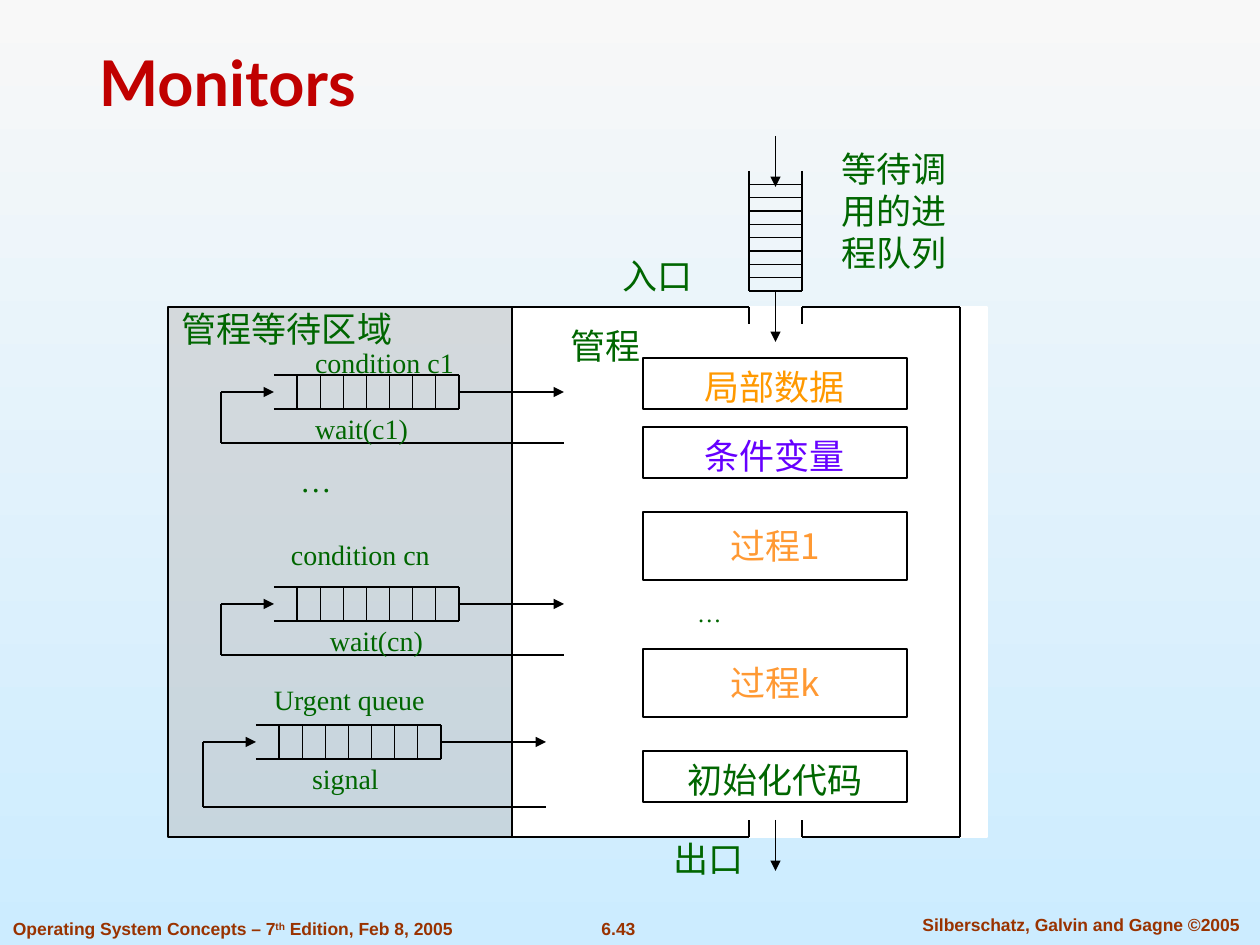
from pptx import Presentation
from pptx.util import Pt
from pptx.dml.color import RGBColor as Rgb
from pptx.enum.shapes import MSO_SHAPE as Shape, MSO_CONNECTOR as Link
from pptx.enum.text import PP_ALIGN as Align, MSO_ANCHOR as Anchor
from pptx.oxml.ns import qn
from lxml.etree import SubElement as Sub

PX = 914400 / 126
HEX = {
    "ink": "000000", "white": "FFFFFF", "gray": "C0C0C0", "green": "006600",
    "orange": "FF9900", "amber": "FF9933", "violet": "6600FF",
    "red": "C00000", "rust": "993300", "top": "F8F8F8", "base": "CCECFF",
}
CJK, SERIF = "Noto Sans CJK SC", "Times New Roman"


def emu(*vals):
    return [round(v * PX) for v in vals]


def hue(name):
    return Rgb.from_string(HEX[name])


def write(frame, runs, size, face, tint, align=Align.LEFT, bold=False,
          pad=(0, 0), anchor=Anchor.TOP, lead=None):
    """Fill a text frame; runs is a list of (words, raised) pairs."""
    dx, dy = emu(*pad)
    form = {"margin_left": dx, "margin_right": dx, "margin_top": dy,
            "margin_bottom": dy, "word_wrap": True, "vertical_anchor": anchor}
    for key, val in form.items():
        setattr(frame, key, val)
    para = frame.paragraphs[0]
    para.alignment = align
    if lead:
        para.line_spacing = lead
    for words, raised in runs:
        run = para.add_run()
        run.text = words
        for key, val in {"size": Pt(size), "name": face, "bold": bold}.items():
            setattr(run.font, key, val)
        run.font.color.rgb = hue(tint)
        props = run.font._element
        Sub(props, qn("a:ea")).set("typeface", face)
        if raised:
            props.set("baseline", "30000")


def label(slide, box, words, size, face, tint, **form):
    runs = [(words, False)] if isinstance(words, str) else words
    text = slide.shapes.add_textbox(*emu(*box))
    write(text.text_frame, runs, size, face, tint, **form)


def block(slide, box, fill, edge):
    rect = slide.shapes.add_shape(Shape.RECTANGLE, *emu(*box))
    rect.shadow.inherit = False
    rect.fill.solid()
    rect.fill.fore_color.rgb = hue(fill)
    rect.line.color.rgb = hue(edge)
    rect.line.width = Pt(0.75)
    return rect


def line(slide, x1, y1, x2, y2, arrow=False):
    link = slide.shapes.add_connector(Link.STRAIGHT, *emu(x1, y1, x2, y2))
    link.line.color.rgb = hue("ink")
    link.line.width = Pt(0.75)
    if arrow:
        Sub(link.line._get_or_add_ln(), qn("a:tailEnd")).set("type", "triangle")
    Sub(link._element.spPr, qn("a:effectLst"))


def queue(slide, box, drop, name, call):
    """Waiting queue with its return loop; name and call are (dx, dy, words)."""
    x, y, w, h = box
    right, mid, low = x + w, y + h // 2, y + drop
    for edge in (y, y + h):
        line(slide, x, edge, right, edge)
    for i in range(8):
        line(slide, right - i * w / 8, y, right - i * w / 8, y + h)
    line(slide, right + 105, low, x - 53, low)
    line(slide, x - 53, low, x - 53, mid)
    line(slide, x - 53, mid, x, mid, True)
    line(slide, right, mid, right + 105, mid, True)
    for dx, dy, words in (name, call):
        label(slide, (x + dx, y + dy, 180, 22), words, 16, SERIF, "green",
              align=Align.JUSTIFY, lead=0.8)


def waiting(slide, box):
    """Shaded area holding the condition queues."""
    x, y, w, h = box
    area = block(slide, box, "gray", "ink")
    tone = area.fill._xPr.find(qn("a:solidFill"))[0]
    Sub(tone, qn("a:alpha")).set("val", "50000")
    label(slide, (x, y, 238, 34), "管程等待区域", 20, CJK, "green",
          align=Align.CENTER)
    for dx, dy, drop, name, call in (
            (106, 68, 68, (41, -23, "condition c1"), (41, 43, "wait(c1)")),
            (106, 280, 68, (17, -43, "condition cn"), (56, 43, "wait(cn)")),
            (88, 418, 82, (18, -36, "Urgent queue"), (56, 43, "signal"))):
        queue(slide, (x + dx, y + dy, 185, 34), drop, name, call)
    label(slide, (x + 132, y + 154, 135, 86), "…", 18, SERIF, "green")


def entry(slide, box):
    """Queue of callers above the entrance."""
    x, y, w, h = box
    mid, low = x + w / 2, y + h
    for side in (x, x + w):
        line(slide, side, y, side, low)
    for i in range(9):
        rung = low - i * 13.35
        line(slide, x, rung, x + w, rung)
    line(slide, mid, y - 35, mid, y + 16, True)
    line(slide, mid, low, mid, low + 51, True)
    label(slide, (x + 79, y - 24, 132, 68), "等待调用的进程队列", 20, CJK,
          "green", align=Align.CENTER)
    label(slide, (x - 159, y + 84, 135, 34), "入口", 20, CJK, "green",
          align=Align.CENTER)


def monitor(slide, box, gate):
    """Monitor body: outline with two gaps at the gate, and its parts."""
    x, y, w, h = box
    left, right = gate
    end, low = x + w, y + h
    for edge, tick in ((y, y + 17), (low, low - 17)):
        line(slide, x, edge, left, edge)
        line(slide, right, edge, end, edge)
        for side in gate:
            line(slide, side, edge, side, tick)
    line(slide, end, y, end, low)
    for dy, tall, words, tint in (
            (51, 51, "局部数据", "orange"), (120, 51, "条件变量", "violet"),
            (205, 68, "过程1", "amber"), (342, 68, "过程k", "amber"),
            (444, 51, "初始化代码", "green")):
        part = block(slide, (x + 131, y + dy, 264, tall), "white", "ink")
        write(part.text_frame, [(words, False)], 20, CJK, tint,
              align=Align.CENTER, pad=(13, 8 if tall == 51 else 12))
    label(slide, (x + 185, y + 291, 159, 34), "…", 14, SERIF, "green")
    for dx, dy, words in ((26, 17, "管程"), (129, h, "出口")):
        label(slide, (x + dx, y + dy, 135, 34), words, 20, CJK, "green",
              align=Align.CENTER)
    mid = (left + right) / 2
    line(slide, mid, low - 17, mid, low + 34, True)


def footer(slide, box):
    """Edition at the left, page number, copyright at the right."""
    x, y, w, h = box
    edition = [("Operating System Concepts – 7", False), ("th", True),
               (" Edition, Feb 8, 2005", False)]
    for dx, dy, wide, words, align in (
            (0, 5, 540, edition, Align.LEFT),
            (557, 5, 123, "6.43", Align.CENTER),
            (894, 1, 374, "Silberschatz, Galvin and Gagne ©2005",
             Align.CENTER)):
        label(slide, (x + dx, y + dy, wide, h), words, 10, "Arial", "rust",
              align=align, bold=True, pad=(13, 6))


def main():
    deck = Presentation()
    deck.slide_width, deck.slide_height = emu(1260, 945)
    slide = deck.slides.add_slide(deck.slide_layouts[6])

    # Backdrop, top to bottom
    back = slide.background.fill
    back.gradient()
    back.gradient_angle = 270
    for stop, name in zip(back.gradient_stops, ("top", "base")):
        stop.color.rgb = hue(name)

    footer(slide, (0, 907, 1260, 34))
    block(slide, (512, 307, 475, 530), "white", "white")
    waiting(slide, (168, 307, 344, 530))
    monitor(slide, (512, 307, 448, 530), (749, 802))
    entry(slide, (749, 171, 53, 120))
    label(slide, (86, 0, 1074, 125), "Monitors", 36, "Lato", "red",
          bold=True, pad=(13, 6), anchor=Anchor.BOTTOM)
    deck.save("out.pptx")


if __name__ == "__main__":
    main()
